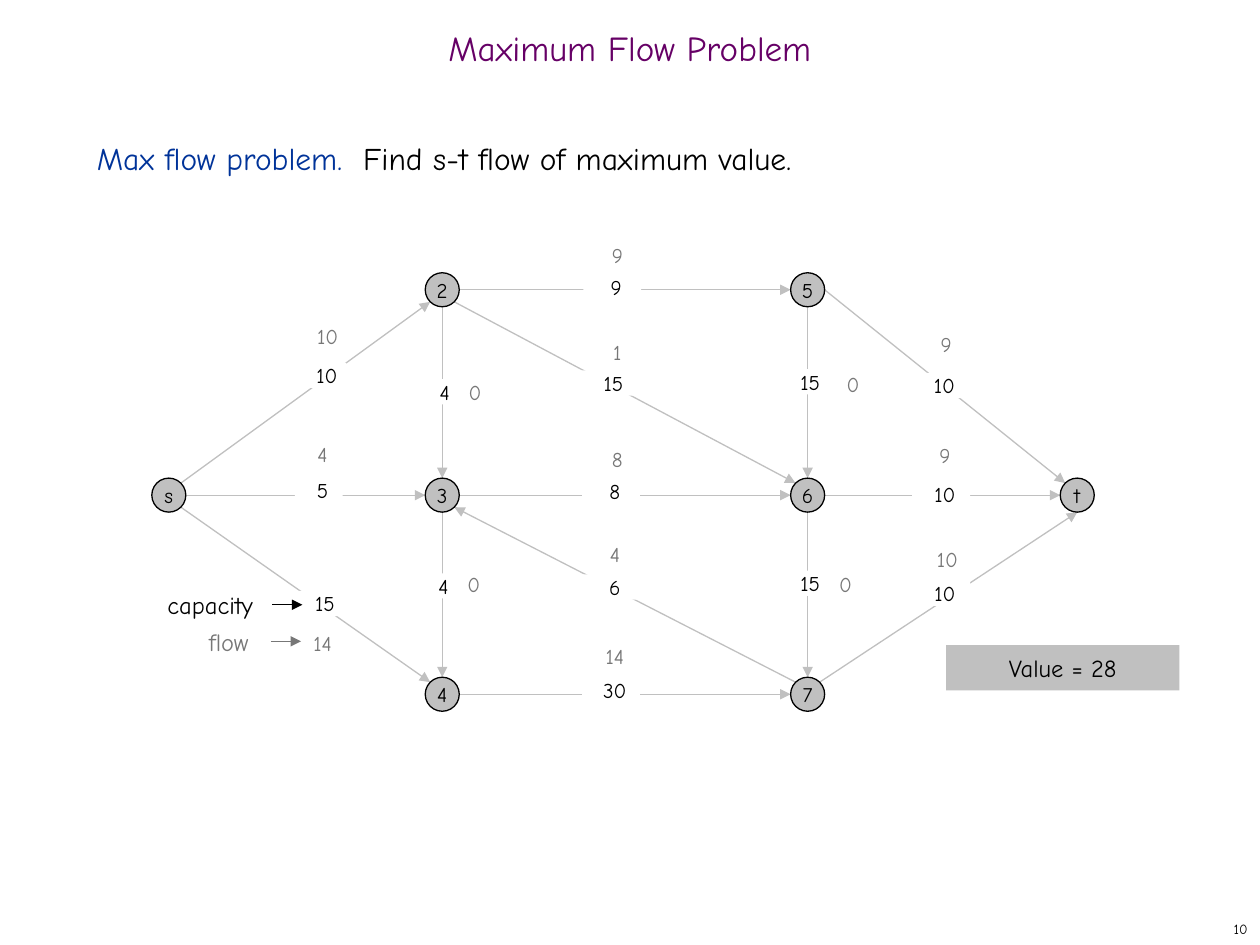
"""Builds the maximum flow problem slide with its capacity and flow network."""
from dataclasses import dataclass
from typing import Optional

from lxml.etree import SubElement
from pptx import Presentation
from pptx.dml.color import RGBColor
from pptx.enum.shapes import MSO_CONNECTOR, MSO_SHAPE
from pptx.enum.text import MSO_ANCHOR, PP_ALIGN
from pptx.oxml.ns import qn
from pptx.util import Inches, Pt


@dataclass(frozen=True)
class Theme:
    font: str = "Comic Neue"
    ink: str = "000000"
    muted: str = "777777"
    silver: str = "C0C0C0"
    paper: str = "FFFFFF"
    purple: str = "660066"
    blue: str = "003399"
    title_size: int = 20
    body_size: int = 18
    legend_size: int = 14
    label_size: int = 12
    page_size: int = 8
    stroke: float = 0.74


@dataclass(frozen=True)
class Box:
    left: float
    top: float
    width: float
    height: float

    @classmethod
    def around(cls, center: tuple, width: float, height: float) -> "Box":
        return cls(center[0] - width / 2, center[1] - height / 2, width, height)

    def lengths(self) -> list:
        return [Inches(v) for v in (self.left, self.top, self.width, self.height)]


@dataclass(frozen=True)
class Words:
    text: str
    size: int
    color: str


@dataclass(frozen=True)
class Node:
    name: str
    column: int
    row: int

    def center(self) -> tuple:
        return COLUMNS[self.column], ROWS[self.row]

    def anchor(self, side: str) -> tuple:
        dx, dy = SIDES[side]
        x, y = self.center()
        reach = DIAMETER / 2 * (0.71 if dx and dy else 1)
        return x + dx * reach, y + dy * reach


@dataclass(frozen=True)
class Edge:
    start: str
    leave: str
    end: str
    enter: str
    capacity: int
    capacity_at: tuple
    flow: int
    flow_at: tuple
    plate_width: float = 0.46
    indent: float = 0.06


THEME = Theme()
WIDTH, HEIGHT = 10, 7.5
DIAMETER = 0.27
COLUMNS = (1.34, 3.51, 6.41, 8.55)
ROWS = (2.3, 3.93, 5.51)
SIDES = {"n": (0, -1), "s": (0, 1), "e": (1, 0), "w": (-1, 0),
         "ne": (1, -1), "nw": (-1, -1), "se": (1, 1), "sw": (-1, 1)}
NODES = {name: Node(name, column, row) for name, column, row in (
    ("s", 0, 1), ("2", 1, 0), ("3", 1, 1), ("4", 1, 2),
    ("5", 2, 0), ("6", 2, 1), ("7", 2, 2), ("t", 3, 1))}
EDGES = (
    Edge("s", "ne", "2", "sw", 10, (2.52, 2.98), 10, (2.6, 2.66), indent=0.15),
    Edge("s", "e", "3", "w", 5, (2.53, 3.89), 4, (2.56, 3.6), plate_width=0.38),
    Edge("s", "se", "4", "nw", 15, (2.55, 4.79), 14, (2.56, 5.1)),
    Edge("2", "e", "5", "w", 9, (4.86, 2.28), 9, (4.9, 2.02)),
    Edge("2", "se", "6", "nw", 15, (4.84, 3.04), 1, (4.9, 2.79)),
    Edge("2", "s", "3", "n", 4, (3.5, 3.11), 0, (3.77, 3.11)),
    Edge("3", "e", "6", "w", 8, (4.85, 3.9), 8, (4.9, 3.64)),
    Edge("3", "s", "4", "n", 4, (3.49, 4.65), 0, (3.76, 4.63)),
    Edge("4", "e", "7", "w", 30, (4.85, 5.48), 14, (4.88, 5.2)),
    Edge("7", "nw", "3", "se", 6, (4.85, 4.66), 4, (4.88, 4.39)),
    Edge("5", "s", "6", "n", 15, (6.4, 3.03), 0, (6.77, 3.04)),
    Edge("6", "s", "7", "n", 15, (6.4, 4.63), 0, (6.71, 4.63)),
    Edge("5", "e", "t", "nw", 10, (7.42, 3.06), 9, (7.51, 2.73), indent=0.15),
    Edge("6", "e", "t", "w", 10, (7.47, 3.92), 9, (7.5, 3.61)),
    Edge("7", "ne", "t", "s", 10, (7.47, 4.71), 10, (7.52, 4.43)),
)


def rgb(color: str) -> RGBColor:
    return RGBColor.from_string(color)


def write(holder, *words: Words, align=PP_ALIGN.CENTER, anchor=MSO_ANCHOR.TOP,
          insets: tuple = (0, 0, 0, 0), wrap: bool = True, spacing=None) -> None:
    frame = holder.text_frame
    frame.word_wrap = wrap
    frame.vertical_anchor = anchor
    (frame.margin_left, frame.margin_top,
     frame.margin_right, frame.margin_bottom) = map(Inches, insets)
    paragraph = frame.paragraphs[0]
    paragraph.alignment = align
    paragraph.line_spacing = spacing
    for piece in words:
        run = paragraph.add_run()
        run.text = piece.text
        run.font.name = THEME.font
        run.font.size = Pt(piece.size)
        run.font.color.rgb = rgb(piece.color)


def text(slide, box: Box, *words: Words, **layout) -> None:
    write(slide.shapes.add_textbox(*box.lengths()), *words, **layout)


def block(slide, kind, box: Box, fill: str, words: Words,
          outline: Optional[str] = None, **layout) -> None:
    body = slide.shapes.add_shape(kind, *box.lengths())
    body.shadow.inherit = False
    body.fill.solid()
    body.fill.fore_color.rgb = rgb(fill)
    if outline:
        body.line.color.rgb = rgb(outline)
        body.line.width = Pt(THEME.stroke)
    else:
        body.line.fill.background()
    write(body, words, **layout)


def arrow(slide, start: tuple, end: tuple, color: str) -> None:
    link = slide.shapes.add_connector(
        MSO_CONNECTOR.STRAIGHT, *map(Inches, (*start, *end)))
    link.line.color.rgb = rgb(color)
    link.line.width = Pt(THEME.stroke)
    SubElement(link.line._get_or_add_ln(), qn("a:tailEnd"), type="triangle")
    SubElement(link._element.spPr, qn("a:effectLst"))


def network(slide) -> None:
    for edge in EDGES:
        arrow(slide, NODES[edge.start].anchor(edge.leave),
              NODES[edge.end].anchor(edge.enter), THEME.silver)
    for node in NODES.values():
        block(slide, MSO_SHAPE.OVAL, Box.around(node.center(), DIAMETER, DIAMETER),
              THEME.silver, Words(node.name, THEME.label_size, THEME.ink), THEME.ink,
              anchor=MSO_ANCHOR.MIDDLE, insets=(0.1, 0.05, 0.1, 0.05), wrap=False)
    for edge in EDGES:
        block(slide, MSO_SHAPE.RECTANGLE,
              Box.around(edge.capacity_at, edge.plate_width, 0.2), THEME.paper,
              Words(str(edge.capacity), THEME.label_size, THEME.ink),
              insets=(edge.indent, 0, 0, 0))
        text(slide, Box.around(edge.flow_at, 0.37, 0.19),
             Words(str(edge.flow), THEME.label_size, THEME.muted))


def main() -> None:
    deck = Presentation()
    deck.slide_width, deck.slide_height = Inches(WIDTH), Inches(HEIGHT)
    slide = deck.slides.add_slide(deck.slide_layouts[6])
    padding = (0.1, 0.05, 0.1, 0.05)
    text(slide, Box(7.92, 7.25, 2.08, 0.25), Words("10", THEME.page_size, THEME.ink),
         align=PP_ALIGN.RIGHT, anchor=MSO_ANCHOR.MIDDLE, insets=padding)
    text(slide, Box(0.67, 1, 8.58, 5.92),
         Words("Max flow problem.  ", THEME.body_size, THEME.blue),
         Words("Find s-t flow of maximum value.", THEME.body_size, THEME.ink),
         align=PP_ALIGN.LEFT, insets=padding, spacing=Pt(25.6))
    text(slide, Box(0, 0.17, WIDTH, 0.5),
         Words("Maximum Flow Problem", THEME.title_size, THEME.purple),
         anchor=MSO_ANCHOR.MIDDLE, insets=padding, spacing=0.7)
    network(slide)
    for name, box, color, start in (
            ("capacity", Box(1.23, 4.63, 0.88, 0.33), THEME.ink, (2.16, 4.8)),
            ("flow", Box(1.56, 4.93, 0.52, 0.33), THEME.muted, (2.15, 5.09))):
        text(slide, box, Words(name, THEME.legend_size, color),
             align=PP_ALIGN.LEFT, insets=padding, wrap=False)
        arrow(slide, start, (start[0] + 0.24, start[1]), color)
    block(slide, MSO_SHAPE.RECTANGLE, Box(7.51, 5.12, 1.85, 0.36), THEME.silver,
          Words("Value = 28", THEME.legend_size, THEME.ink),
          anchor=MSO_ANCHOR.MIDDLE, insets=(0.1, 0.1, 0.1, 0.1))
    deck.save("out.pptx")


main()
